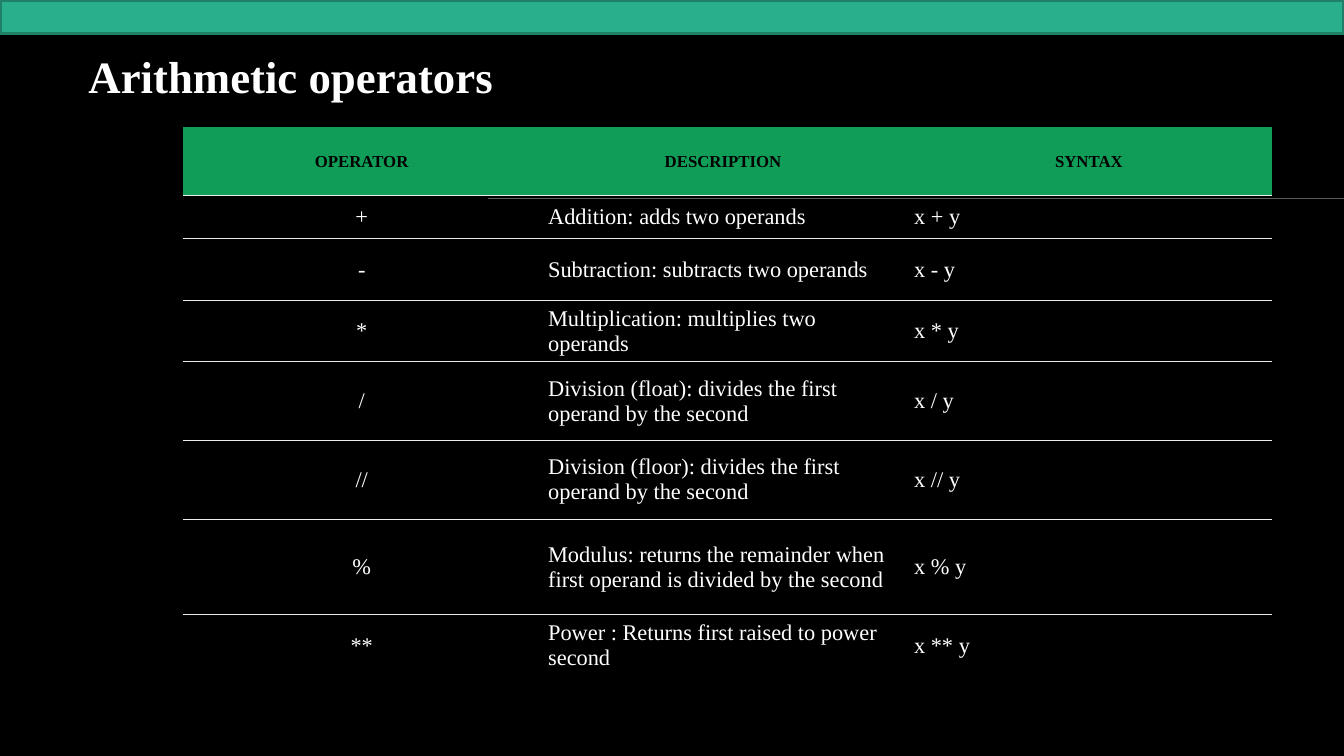
from dataclasses import dataclass
from typing import Any

import lxml.etree
import pptx
import pptx.dml.color
import pptx.enum.shapes
import pptx.enum.text
import pptx.oxml.ns
import pptx.util

Pt = pptx.util.Pt
RGBColor = pptx.dml.color.RGBColor
Align = pptx.enum.text.PP_ALIGN
Anchor = pptx.enum.text.MSO_ANCHOR


@dataclass(frozen=True)
class Theme:
    font: str = "Times New Roman"
    background: str = "000000"
    text: str = "FFFFFF"
    header_text: str = "000000"
    header_fill: str = "0F9D58"
    rule: str = "EDEDED"
    bar_fill: str = "29AF8C"
    bar_line: str = "1E8168"
    title_size: float = 32
    header_size: float = 12
    body_size: float = 16
    rule_width: float = 0.75
    bar_line_width: float = 2.75


@dataclass(frozen=True)
class Box:
    left: float
    top: float
    width: float
    height: float

    def lengths(self) -> list[int]:
        return [Pt(value) for value in (self.left, self.top, self.width, self.height)]


@dataclass(frozen=True)
class Operator:
    symbol: str
    description: str
    row_height: float

    def texts(self) -> tuple[str, str, str]:
        return self.symbol, self.description, f"x {self.symbol} y"


THEME = Theme()
SLIDE_WIDTH, SLIDE_HEIGHT = 960, 540
TITLE_BOX = Box(56, 31.5, 828, 50.5)
BAR_BOX = Box(0, 0, SLIDE_WIDTH, 24)
HAIRLINE_BOX = Box(348.5, 141.8, SLIDE_WIDTH, 0)
TABLE_LEFT, TABLE_TOP = 131, 90.7
COLUMN_WIDTHS = (254.8, 261.4, 261.4)
HEADER_HEIGHT = 49.2
HEADERS = ("OPERATOR", "DESCRIPTION", "SYNTAX")
HEADER_MARGINS = (3.6, 3.6)
BODY_MARGINS = (5.8, 2.9)
OPERATORS = (
    Operator("+", "Addition: adds two operands", 30.8),
    Operator("-", "Subtraction: subtracts two operands", 43.9),
    Operator("*", "Multiplication: multiplies two operands", 43.9),
    Operator("/", "Division (float): divides the first operand by the second", 56.2),
    Operator("//", "Division (floor): divides the first operand by the second", 56.2),
    Operator("%", "Modulus: returns the remainder when first operand is divided by the second", 68.4),
    Operator("**", "Power : Returns first raised to power second", 43.9),
)


def set_attributes(target: Any, values: dict[str, Any]) -> None:
    for name, value in values.items():
        setattr(target, name, value)


def write_text(text_frame: Any, text: str, size: float, color: str, bold: bool, alignment: Any) -> Any:
    paragraph = text_frame.paragraphs[0]
    paragraph.alignment = alignment
    run = paragraph.add_run()
    run.text = text
    set_attributes(run.font, {"name": THEME.font, "size": Pt(size), "bold": bold})
    run.font.color.rgb = RGBColor.from_string(color)
    return paragraph


def add_title(slide: Any, text: str) -> None:
    title = slide.shapes.title
    set_attributes(title, dict(zip(("left", "top", "width", "height"), TITLE_BOX.lengths())))
    set_attributes(title.text_frame, {
        "vertical_anchor": Anchor.MIDDLE,
        "word_wrap": True,
        "auto_size": pptx.enum.text.MSO_AUTO_SIZE.NONE,
    })
    paragraph = write_text(title.text_frame, text, THEME.title_size, THEME.text, True, Align.LEFT)
    paragraph.line_spacing = 0.9


def add_rectangle(slide: Any, box: Box, fill: str, line: str | None = None) -> None:
    shape = slide.shapes.add_shape(pptx.enum.shapes.MSO_SHAPE.RECTANGLE, *box.lengths())
    shape.shadow.inherit = False
    shape.fill.solid()
    shape.fill.fore_color.rgb = RGBColor.from_string(fill)
    if line is None:
        shape.line.fill.background()
    else:
        shape.line.color.rgb = RGBColor.from_string(line)
        shape.line.width = Pt(THEME.bar_line_width)


def set_borders(cell: Any, ruled_sides: str) -> None:
    """Rule the sides named by their letters (L, R, T, B) and clear the others."""
    qualified = pptx.oxml.ns.qn
    properties = cell._tc.get_or_add_tcPr()
    for position, side in enumerate("LRTB"):
        border = lxml.etree.Element(qualified(f"a:ln{side}"))
        if side in ruled_sides:
            border.set("w", str(Pt(THEME.rule_width)))
            fill = lxml.etree.SubElement(border, qualified("a:solidFill"))
            lxml.etree.SubElement(fill, qualified("a:srgbClr")).set("val", THEME.rule)
        else:
            border.set("w", "0")
            lxml.etree.SubElement(border, qualified("a:noFill"))
        properties.insert(position, border)


def fill_cell(cell: Any, text: str, is_header: bool, centered: bool, ruled_sides: str) -> None:
    side_margin, end_margin = HEADER_MARGINS if is_header else BODY_MARGINS
    set_attributes(cell, {
        "vertical_anchor": Anchor.MIDDLE,
        "margin_left": Pt(side_margin),
        "margin_right": Pt(side_margin),
        "margin_top": Pt(end_margin),
        "margin_bottom": Pt(end_margin),
    })
    if is_header:
        cell.fill.solid()
        cell.fill.fore_color.rgb = RGBColor.from_string(THEME.header_fill)
    else:
        cell.fill.background()
    size = THEME.header_size if is_header else THEME.body_size
    color = THEME.header_text if is_header else THEME.text
    write_text(cell.text_frame, text, size, color, is_header, Align.CENTER if centered else Align.LEFT)
    set_borders(cell, ruled_sides)


def add_operator_table(slide: Any) -> None:
    row_heights = [HEADER_HEIGHT] + [operator.row_height for operator in OPERATORS]
    rows = [HEADERS] + [operator.texts() for operator in OPERATORS]
    box = Box(TABLE_LEFT, TABLE_TOP, sum(COLUMN_WIDTHS), sum(row_heights))
    table = slide.shapes.add_table(len(rows), len(HEADERS), *box.lengths()).table
    table.horz_banding = False
    for column, width in zip(table.columns, COLUMN_WIDTHS):
        column.width = Pt(width)
    for row_index, (texts, height) in enumerate(zip(rows, row_heights)):
        table.rows[row_index].height = Pt(height)
        is_header = row_index == 0
        ruled_sides = ("" if is_header else "T") + ("B" if row_index < len(rows) - 1 else "")
        for column_index, text in enumerate(texts):
            centered = is_header or column_index == 0
            fill_cell(table.cell(row_index, column_index), text, is_header, centered, ruled_sides)


def main() -> None:
    presentation = pptx.Presentation()
    set_attributes(presentation, {"slide_width": Pt(SLIDE_WIDTH), "slide_height": Pt(SLIDE_HEIGHT)})
    slide = presentation.slides.add_slide(presentation.slide_layouts.get_by_name("Title Only"))
    slide.background.fill.solid()
    slide.background.fill.fore_color.rgb = RGBColor.from_string(THEME.background)
    add_title(slide, "Arithmetic operators")
    add_rectangle(slide, BAR_BOX, THEME.bar_fill, THEME.bar_line)
    add_operator_table(slide)
    add_rectangle(slide, HAIRLINE_BOX, THEME.text)
    presentation.save("out.pptx")


if __name__ == "__main__":
    main()
